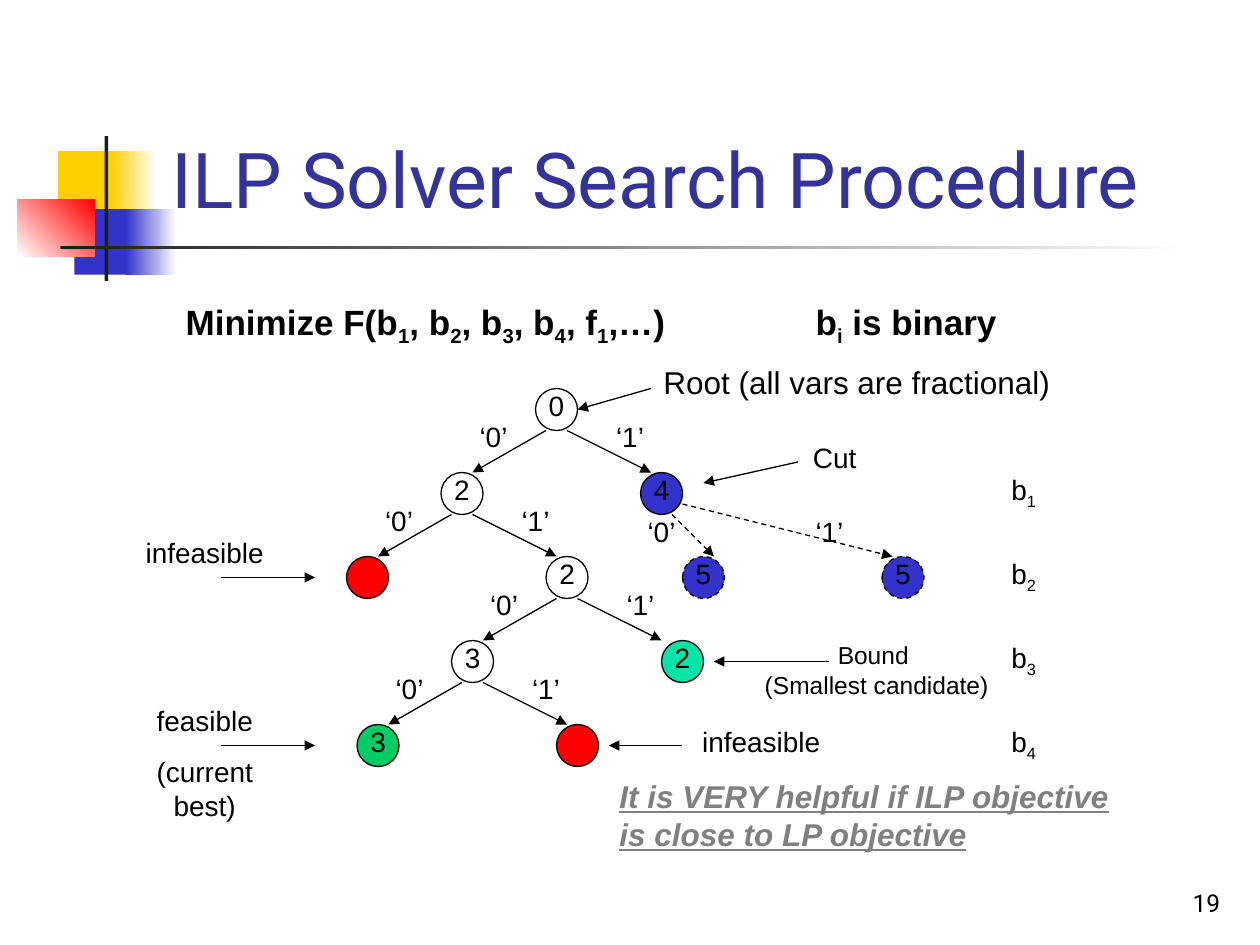
"""Build the ILP solver search procedure slide with its branch-and-bound tree."""
import dataclasses

import lxml.etree
import pptx
import pptx.dml.color
import pptx.enum.dml
import pptx.enum.shapes
import pptx.enum.text
import pptx.oxml.ns
import pptx.util

ALIGN = pptx.enum.text.PP_ALIGN
ANCHOR = pptx.enum.text.MSO_ANCHOR
SHAPE = pptx.enum.shapes.MSO_SHAPE
DASH = pptx.enum.dml.MSO_LINE.DASH


@dataclasses.dataclass(frozen=True)
class Theme:
    """Hold the colours, fonts and type sizes of the slide."""
    black: str = "000000"
    white: str = "FFFFFF"
    ink: str = "1C1C1C"
    gray: str = "808080"
    title: str = "333399"
    yellow: str = "FFCF01"
    blue: str = "3333CC"
    red: str = "FF0000"
    green: str = "00CC66"
    mint: str = "00E4A8"
    heading_font: str = "Roboto"
    body_font: str = "Arial"
    title_size: int = 44
    formula_size: int = 20
    note_size: int = 18
    label_size: int = 16
    small_size: int = 14


THEME = Theme()
NODE_SIZE = 4
LEVEL_STEP = 8


def color(value):
    """Turn a hex string into a colour."""
    return pptx.dml.color.RGBColor.from_string(value)


def grid(count):
    """Convert tree grid units of a twelfth of an inch to a length."""
    return pptx.util.Inches(count / 12)


def set_font(paragraph, size, shade=THEME.black, name=THEME.body_font):
    """Set the font shared by all runs of a paragraph."""
    paragraph.font.name = name
    paragraph.font.size = pptx.util.Pt(size)
    paragraph.font.color.rgb = color(shade)


def add_band(slide, left, top, width, height, shades, angle=0):
    """Add a decorative rectangle, solid for one shade and graded for two."""
    box = map(pptx.util.Inches, (left, top, width, height))
    shape = slide.shapes.add_shape(SHAPE.RECTANGLE, *box)
    shape.shadow.inherit = False
    shape.line.fill.background()
    if len(shades) == 1:
        shape.fill.solid()
        shape.fill.fore_color.rgb = color(shades[0])
        return
    shape.fill.gradient()
    shape.fill.gradient_angle = angle
    for stop, shade in zip(shape.fill.gradient_stops, shades):
        stop.color.rgb = color(shade)


def add_label(slide, x, y, width, height, text, size=THEME.label_size,
              align=ALIGN.CENTER, margins=(0, 0), tabs=()):
    """Add text on the grid; an underscore lowers the next character."""
    label = slide.shapes.add_textbox(grid(x), grid(y), grid(width), grid(height))
    frame = label.text_frame
    frame.word_wrap = True
    frame.margin_left = frame.margin_right = pptx.util.Inches(margins[0])
    frame.margin_top = frame.margin_bottom = pptx.util.Inches(margins[1])
    for index, line in enumerate(text.split("\n")):
        paragraph = frame.add_paragraph() if index else frame.paragraphs[0]
        first, *rest = line.split("_")
        paragraph.text = first
        for part in rest:
            subscript = paragraph.add_run()
            subscript.text = part[0]
            subscript.font._element.set("baseline", "-25000")
            if part[1:]:
                paragraph.add_run().text = part[1:]
        paragraph.alignment = align
        if index:
            paragraph.space_before = pptx.util.Pt(10)
        if tabs:
            add_tabs(paragraph, tabs)
        set_font(paragraph, size)
    return label


def add_tabs(paragraph, positions):
    """Add left tab stops, given in inches, to a paragraph."""
    qn = pptx.oxml.ns.qn
    properties = paragraph._p.get_or_add_pPr()
    tab_list = lxml.etree.SubElement(properties, qn("a:tabLst"))
    for position in positions:
        lxml.etree.SubElement(tab_list, qn("a:tab"), algn="l",
                              pos=str(pptx.util.Inches(position)))


def style_line(line, dashed):
    """Give an outline or arrow the thin black stroke."""
    line.color.rgb = color(THEME.black)
    line.width = pptx.util.Pt(0.75)
    if dashed:
        line.dash_style = DASH


def add_node(slide, x, y, shade, text="", dashed=False):
    """Add a circular tree node with its value."""
    node = slide.shapes.add_shape(SHAPE.OVAL, grid(x), grid(y),
                                  grid(NODE_SIZE), grid(NODE_SIZE))
    node.shadow.inherit = False
    node.fill.solid()
    node.fill.fore_color.rgb = color(shade)
    style_line(node.line, dashed)
    if text:
        add_label(slide, x, y, NODE_SIZE, 3.2, text)


def add_arrow(slide, start_x, start_y, end_x, end_y, dashed=False):
    """Add an arrow between two grid points."""
    qn = pptx.oxml.ns.qn
    arrow = slide.shapes.add_connector(
        pptx.enum.shapes.MSO_CONNECTOR.STRAIGHT,
        grid(start_x), grid(start_y), grid(end_x), grid(end_y))
    style_line(arrow.line, dashed)
    lxml.etree.SubElement(arrow.line._get_or_add_ln(), qn("a:tailEnd"), type="triangle")
    lxml.etree.SubElement(arrow._element.spPr, qn("a:effectLst"))


def add_branch(slide, x, y):
    """Add the labelled '0' and '1' arrows below the node at a grid point."""
    for start, end, label_x, text in ((1, -6, -6, "‘0’"), (3, 11, 7, "‘1’")):
        add_arrow(slide, x + start, y + NODE_SIZE, x + end, y + LEVEL_STEP)
        add_label(slide, x + label_x, y + 3, NODE_SIZE, 3.2, text)


def add_decoration(slide):
    """Add the coloured squares and rules beside the title."""
    add_band(slide, 0.46, 1.2, 0.48, 0.52, [THEME.yellow])
    add_band(slide, 0.88, 1.2, 0.36, 0.52, [THEME.yellow, THEME.white])
    add_band(slide, 0.59, 1.66, 0.46, 0.52, [THEME.blue])
    add_band(slide, 1, 1.66, 0.4, 0.52, [THEME.blue, THEME.white])
    add_band(slide, 0.14, 1.58, 0.61, 0.46, [THEME.white, THEME.red], 45)
    add_band(slide, 0.83, 1.08, 0.03, 1.15, [THEME.ink])
    add_band(slide, 0.48, 1.95, 9, 0.03, [THEME.ink, THEME.white])


def set_title(slide, text):
    """Place and format the title placeholder."""
    title = slide.shapes.title
    title.left, title.top, title.width, title.height = map(
        pptx.util.Inches, (1.26, 0.23, 8.52, 1.6))
    title.text_frame.text = text
    title.text_frame.vertical_anchor = ANCHOR.BOTTOM
    paragraph = title.text_frame.paragraphs[0]
    paragraph.alignment = ALIGN.LEFT
    set_font(paragraph, THEME.title_size, THEME.title, THEME.heading_font)


def add_tree(slide):
    """Add the search tree with its nodes, branches and pruned part."""
    for x, y, shade, text in (
            (51, 37, THEME.white, "0"), (42, 45, THEME.white, "2"),
            (61, 45, THEME.blue, "4"), (33, 53, THEME.red, ""),
            (52, 53, THEME.white, "2"), (43, 61, THEME.white, "3"),
            (63, 61, THEME.mint, "2"), (34, 69, THEME.green, "3"),
            (53, 69, THEME.red, "")):
        add_node(slide, x, y, shade, text)
    for x, y in ((51, 37), (42, 45), (52, 53), (43, 61)):
        add_branch(slide, x, y)
    for x, start, label_x, text in ((65, (64, 49), 61, "‘0’"), (84, (65, 48), 77, "‘1’")):
        add_node(slide, x, 53, THEME.blue, "5", dashed=True)
        add_arrow(slide, *start, x + (3 if x == 65 else 1), 53, dashed=True)
        add_label(slide, label_x, 49, NODE_SIZE, 3.2, text)


def add_annotations(slide):
    """Add the callouts, their arrows and the variable of each level."""
    for arrow in ((62, 37, 55, 39), (76, 44, 67, 46), (21, 55, 30, 55),
                  (79, 63, 68, 63), (21, 71, 30, 71), (65, 71, 58, 71)):
        add_arrow(slide, *arrow)
    for x, y, width, height, text in (
            (77, 42, 5, 3.2, "Cut"), (13, 51, 13, 3.2, "infeasible"),
            (66, 69, 13, 3.2, "infeasible"),
            (13, 67, 13, 11.3, "feasible\n(current best)")):
        add_label(slide, x, y, width, height, text)
    for level in range(4):
        add_label(slide, 91, 45 + LEVEL_STEP * level, 13, 3.6, f"b_{level + 1}")
    add_label(slide, 72, 61, 23, 5.6, "Bound \v(Smallest candidate)", THEME.small_size)
    add_label(slide, 62, 34, 42, 4.8, "Root (all vars are fractional)",
              THEME.note_size, ALIGN.LEFT, (0.1, 0.05))


def add_statements(slide):
    """Add the objective above the tree and the conclusion below it."""
    formula = add_label(slide, 16.5, 28, 86, 5.8,
                        "Minimize F(b_1, b_2, b_3, b_4, f_1,…) \t\tb_i is binary",
                        THEME.formula_size, ALIGN.LEFT, (0.1, 0.05), range(8))
    formula.text_frame.paragraphs[0].font.bold = True
    conclusion = add_label(slide, 59, 74, 48, 7.2,
                           "It is VERY helpful if ILP objective is close to LP objective",
                           THEME.note_size, ALIGN.LEFT)
    font = conclusion.text_frame.paragraphs[0].font
    font.bold = font.italic = font.underline = True
    font.color.rgb = color(THEME.gray)


def add_slide_number(slide, number):
    """Add the slide number at the lower right."""
    label = add_label(slide, 92.4, 82, 25, 6, number, THEME.small_size,
                      ALIGN.RIGHT, (0.1, 0.05))
    label.text_frame.vertical_anchor = ANCHOR.BOTTOM
    label.text_frame.paragraphs[0].font.name = THEME.heading_font


def main():
    """Build and save the presentation."""
    presentation = pptx.Presentation()
    presentation.slide_width = pptx.util.Inches(10)
    presentation.slide_height = pptx.util.Inches(7.5)
    slide = presentation.slides.add_slide(presentation.slide_layouts[5])
    add_decoration(slide)
    set_title(slide, "ILP Solver Search Procedure")
    add_tree(slide)
    add_annotations(slide)
    add_statements(slide)
    add_slide_number(slide, "19")
    presentation.save("out.pptx")


if __name__ == "__main__":
    main()
